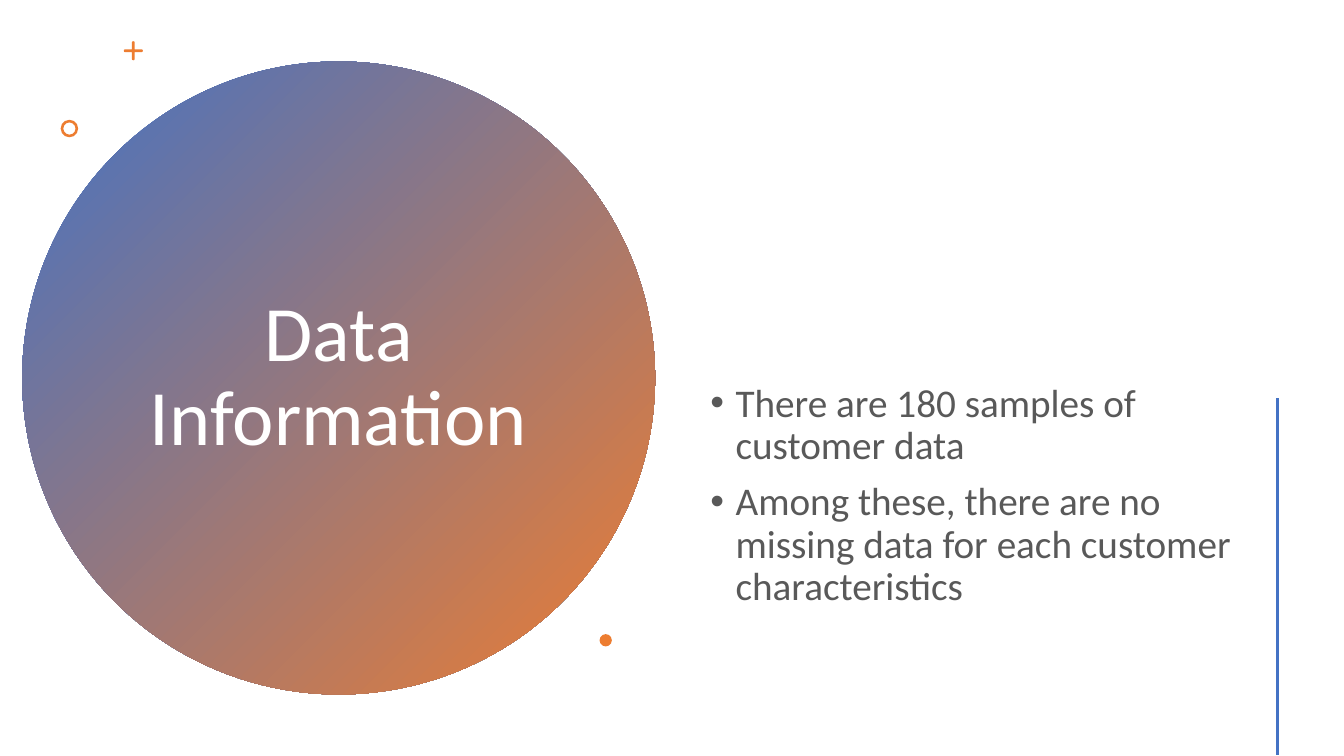
from math import cos, pi, sin, sqrt

from lxml.etree import SubElement
from pptx import Presentation
from pptx.dml.color import RGBColor
from pptx.enum.shapes import MSO_CONNECTOR, MSO_SHAPE
from pptx.enum.text import MSO_ANCHOR, PP_ALIGN
from pptx.oxml.ns import qn
from pptx.util import Cm, Pt

BLUE = RGBColor(0x44, 0x72, 0xC4)
ORANGE = RGBColor(0xED, 0x7D, 0x31)
GREY = RGBColor(0x59, 0x59, 0x59)
WHITE = RGBColor(0xFF, 0xFF, 0xFF)
FONT = "Calibri"
FACTS = [
    "There are 180 samples of customer data",
    "Among these, there are no missing data for each customer characteristics",
]


def add_preset(slide, preset, left, top, size):
    shape = slide.shapes.add_shape(preset, Cm(left), Cm(top), Cm(size), Cm(size))
    shape.shadow.inherit = False
    shape.line.fill.background()
    return shape


def paint_orange(shape):
    shape.fill.solid()
    shape.fill.fore_color.rgb = ORANGE


def add_frame(slide, left, top, width, height):
    frame = slide.shapes.add_textbox(Cm(left), Cm(top), Cm(width), Cm(height)).text_frame
    frame.word_wrap = True
    return frame


def write(paragraph, text, size, color):
    paragraph.line_spacing = 0.9
    run = paragraph.add_run()
    run.text = text
    run.font.name = FONT
    run.font.size = Pt(size)
    run.font.color.rgb = color


def make_bullet(paragraph):
    properties = paragraph._p.get_or_add_pPr()
    indent = Cm(0.64)
    properties.set("marL", str(indent))
    properties.set("indent", str(-indent))
    SubElement(properties, qn("a:buFont")).set("typeface", "Arial")
    SubElement(properties, qn("a:buChar")).set("char", "•")


def add_rounded_plus(slide, center_x, center_y, reach, half_width):
    """Draw a plus whose four arms end in semicircles."""
    points = []
    for arm in range(4):
        angle = arm * pi / 2
        cap_x = center_x + (reach - half_width) * cos(angle)
        cap_y = center_y + (reach - half_width) * sin(angle)
        for step in range(-4, 5):
            turn = angle + step * pi / 8
            points.append((cap_x + half_width * cos(turn), cap_y + half_width * sin(turn)))
        corner = angle + pi / 4
        points.append((center_x + half_width * sqrt(2) * cos(corner),
                       center_y + half_width * sqrt(2) * sin(corner)))
    points = [(Cm(x), Cm(y)) for x, y in points]
    builder = slide.shapes.build_freeform(*points[0])
    builder.add_line_segments(points[1:], close=True)
    plus = builder.convert_to_shape()
    plus.shadow.inherit = False
    plus.line.fill.background()
    paint_orange(plus)


def add_title_circle(slide, left, top, size):
    # Gradient disc
    disc = add_preset(slide, MSO_SHAPE.OVAL, left, top, size)
    disc.fill.gradient()
    disc.fill.gradient_angle = 315
    for stop, position, color in zip(disc.fill.gradient_stops, (0, 1), (BLUE, ORANGE)):
        stop.position = position
        stop.color.rgb = color

    # Title, centred on the disc
    width, height = 10.14, 11.86
    title = add_frame(slide, left + (size - width) / 2, top + (size - height) / 2, width, height)
    title.vertical_anchor = MSO_ANCHOR.MIDDLE
    title.paragraphs[0].alignment = PP_ALIGN.CENTER
    write(title.paragraphs[0], "Data Information", 56, WHITE)

    # Small accents around the disc
    add_rounded_plus(slide, left + 2.8, top - 0.27, 0.24, 0.035)
    ring = add_preset(slide, MSO_SHAPE.DONUT, left + 0.97, top + 1.47, 0.44)
    ring.adjustments[0] = 0.15
    paint_orange(ring)
    paint_orange(add_preset(slide, MSO_SHAPE.OVAL, left + 14.55, top + 14.43, 0.31))


def add_facts(slide, left, top, width, height):
    # Vertical rule to the right of the facts
    rule_x = Cm(left + width + 0.65)
    rule = slide.shapes.add_connector(
        MSO_CONNECTOR.STRAIGHT, rule_x, Cm(top + 0.5), rule_x, Cm(top + 9.5))
    rule.line.color.rgb = BLUE
    rule.line.width = Pt(2)
    SubElement(rule._element.spPr, qn("a:effectLst"))

    # Bulleted facts
    body = add_frame(slide, left, top, width, height)
    for index, fact in enumerate(FACTS):
        paragraph = body.add_paragraph() if index else body.paragraphs[0]
        paragraph.space_before = Pt(10)
        write(paragraph, fact, 28, GREY)
        make_bullet(paragraph)


deck = Presentation()
deck.slide_width, deck.slide_height = Cm(33.87), Cm(19.05)
data_slide = deck.slides.add_slide(deck.slide_layouts[6])
add_title_circle(data_slide, 0.56, 1.55, 15.95)
add_facts(data_slide, 17.65, 9.53, 13.89, 7.65)
deck.save("out.pptx")
